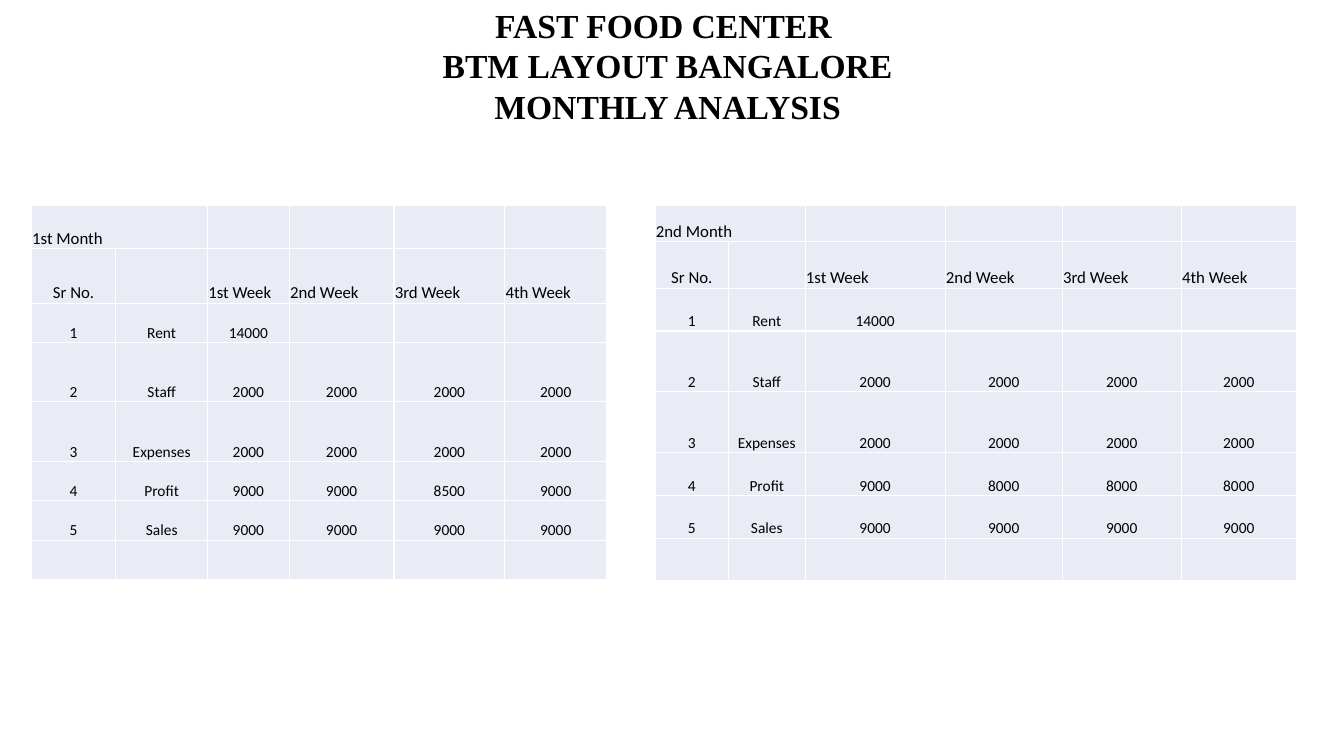
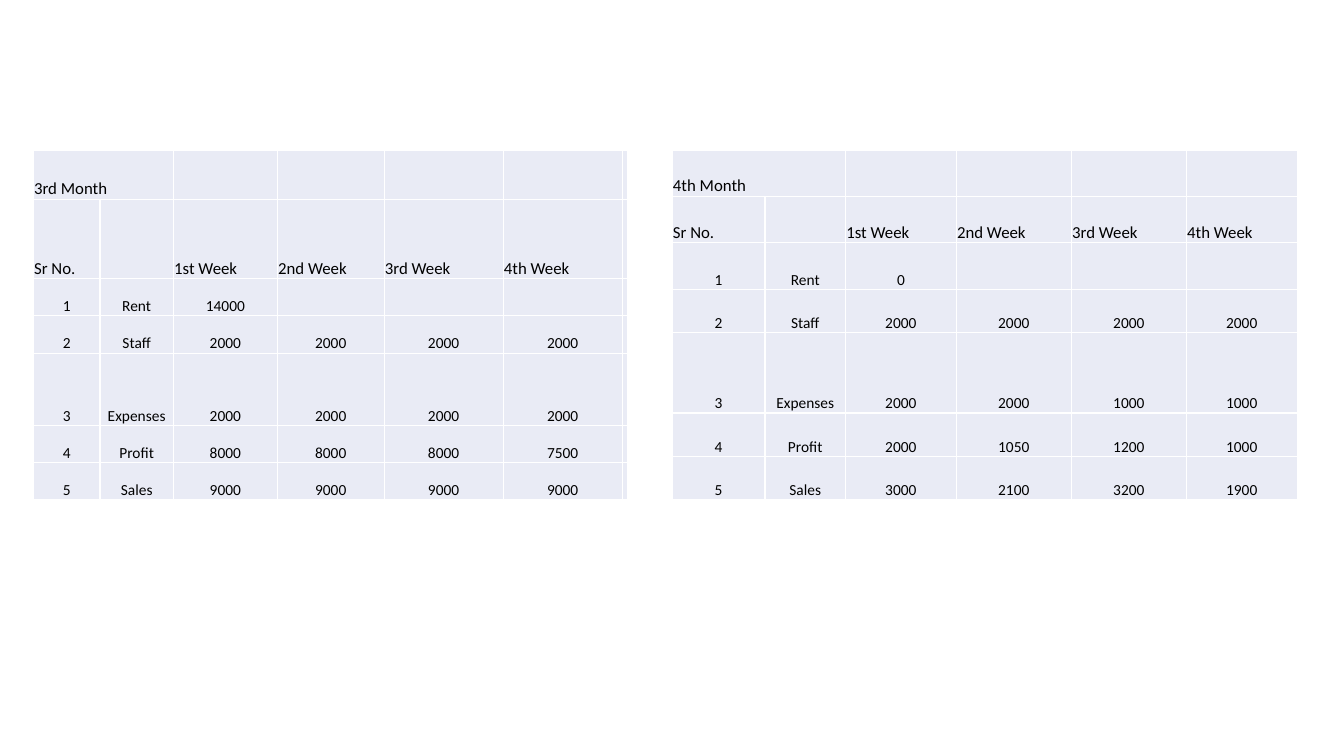
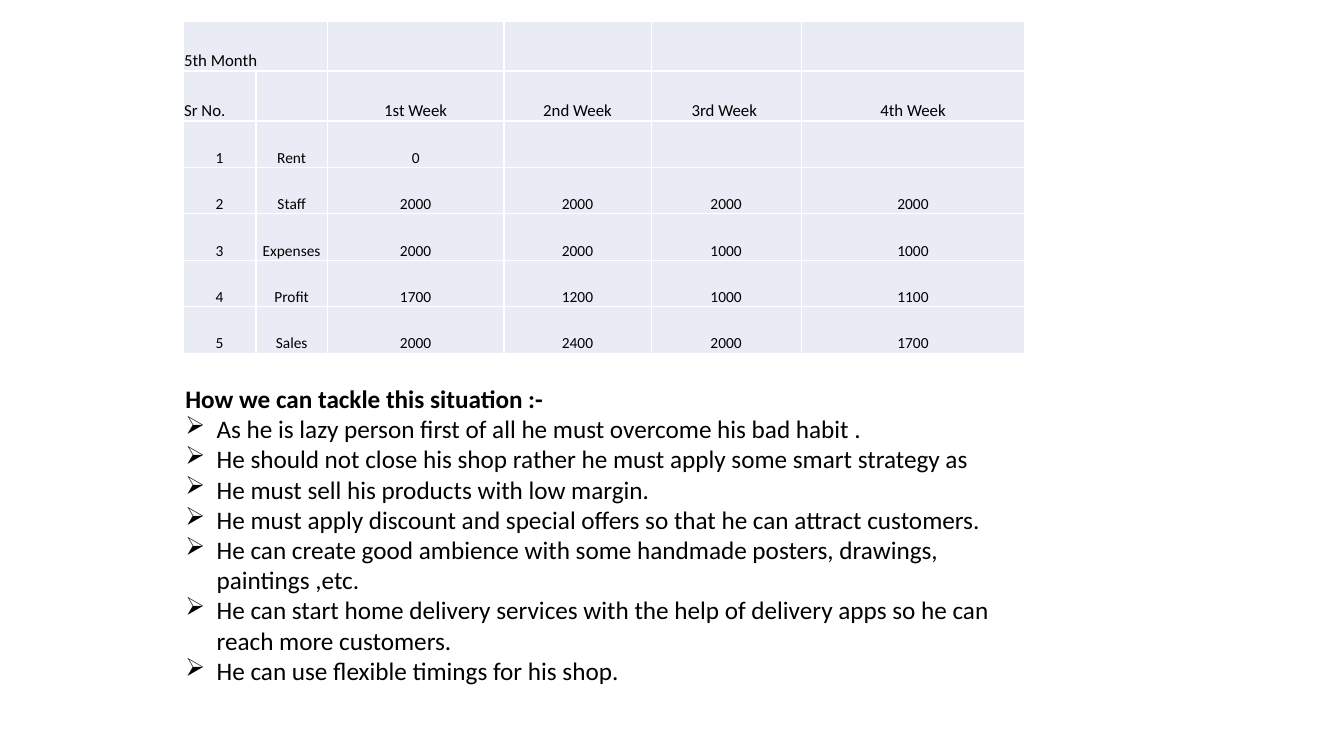
from lxml import etree
from pptx import Presentation
from pptx import util as u
from pptx.dml.color import RGBColor
from pptx.enum import text as t
from pptx.oxml import ns

BLACK = RGBColor(0x00, 0x00, 0x00)
WHITE = RGBColor(0xFF, 0xFF, 0xFF)
PALE = RGBColor(0xE9, 0xEB, 0xF5)
BODY = "Calibri"
SERIF = "Times New Roman"
CENTER = t.PP_ALIGN.CENTER
LEFT = t.PP_ALIGN.LEFT

WEEKS = ["1st Week", "2nd Week", "3rd Week", "4th Week"]
ITEMS = ["Rent", "Staff", "Expenses", "Profit", "Sales"]
STAFF = [2000] * 4
FLAT = [9000] * 4
TITLE = ["FAST FOOD CENTER ", "BTM LAYOUT BANGALORE", "MONTHLY ANALYSIS"]
HEAD = "How we can tackle this situation :-"
TIPS = [
    "As he is lazy person first of all he must overcome his bad habit .",
    "He should not close his shop rather he must apply some smart strategy as",
    "He must sell his products with low margin.",
    "He must apply discount and special offers so that he can attract customers.",
    "He can create good ambience with some handmade posters, drawings, paintings ,etc.",
    "He can start home delivery services with the help of delivery apps so he can reach more customers.",
    "He can use flexible timings for his shop.",
]


def style(para, size, face=BODY, bold=False, align=LEFT):
    para.alignment = align
    for run in para.runs:
        run.font.size = u.Pt(size)
        run.font.name = face
        run.font.bold = bold
        run.font.color.rgb = BLACK


def add_text(slide, box, lines):
    frame = slide.shapes.add_textbox(*map(u.Cm, box)).text_frame
    frame.word_wrap = True
    frame.text = "\n".join(lines)
    return frame.paragraphs


def add_title(slide, box):
    for para in add_text(slide, box, TITLE):
        style(para, 24, SERIF, True, CENTER)


def add_tips(slide, box):
    head, *tips = add_text(slide, box, [HEAD] + TIPS)
    style(head, 18, bold=True)
    for para in tips:
        style(para, 18)
        props = para._p.get_or_add_pPr()
        props.set("marL", str(u.Cm(0.79)))
        props.set("indent", str(-u.Cm(0.79)))
        etree.SubElement(props, ns.qn("a:buChar")).set("char", "➢")


def dress(cell):
    props = cell._tc.get_or_add_tcPr()
    for side in "LRTB":
        line = etree.SubElement(props, ns.qn("a:ln" + side), w=str(u.Pt(1)))
        fill = etree.SubElement(line, ns.qn("a:solidFill"))
        etree.SubElement(fill, ns.qn("a:srgbClr"), val=str(WHITE))
    cell.fill.solid()
    cell.fill.fore_color.rgb = PALE
    cell.vertical_anchor = t.MSO_ANCHOR.BOTTOM
    cell.margin_left = cell.margin_right = cell.margin_top = u.Cm(0.02)
    cell.margin_bottom = 0


def add_month(slide, left, top, cols, rows, name, data, mid=(), weeks=WEEKS):
    size = [u.Cm(n) for n in (left, top, sum(cols), sum(rows))]
    grid = slide.shapes.add_table(len(rows), len(cols), *size).table
    for col, wide in zip(grid.columns, cols):
        col.width = u.Cm(wide)
    for row, high in zip(grid.rows, rows):
        row.height = u.Cm(high)
    for cell in grid.iter_cells():
        dress(cell)
    grid.cell(0, 0).merge(grid.cell(0, 1))
    lines = [[name], ["Sr No.", ""] + weeks]
    lines += [[n, item] + vals for n, (item, vals) in enumerate(zip(ITEMS, data), 1)]
    for r, line in enumerate(lines):
        for c, word in enumerate(line):
            if word == "":
                continue
            para = grid.cell(r, c).text_frame.paragraphs[0]
            para.text = str(word)
            body = r > 1
            center = body or (r == 1 and c in mid)
            style(para, 11 if body else 12, align=CENTER if center else LEFT)


def first_slide(slide):
    add_title(slide, (0.58, 0, 32.49, 17.96))
    add_month(slide, 0.79, 5.18, [2.13, 2.31, 2.06, 2.64, 2.79, 2.57],
              [1.09, 1.37, 0.99, 1.48, 1.52] + [0.99] * 3, "1st Month",
              [[14000], STAFF, STAFF, [9000, 9000, 8500, 9000], FLAT], mid=(0,))
    add_month(slide, 16.51, 5.18, [1.85, 1.93, 3.53, 2.95, 3, 2.9],
              [0.91, 1.17, 1.08, 1.53, 1.53] + [1.08] * 3, "2nd Month",
              [[14000], STAFF, STAFF, [9000, 8000, 8000, 8000], FLAT], mid=(0,))


def second_slide(slide):
    add_month(slide, 0.84, 3.78, [1.68, 1.85, 2.62, 2.69, 3, 3, 0.13],
              [1.24, 2, 0.94, 0.94, 1.82, 0.94, 0.94], "3rd Month",
              [[14000], STAFF, STAFF, [8000, 8000, 8000, 7500], FLAT])
    add_month(slide, 16.94, 3.78, [2.34, 2.03, 2.79, 2.9, 2.9, 2.79],
              [1.17] * 3 + [1.09, 2.03, 1.09, 1.09], "4th Month",
              [[0], STAFF, [2000, 2000, 1000, 1000],
               [2000, 1050, 1200, 1000], [3000, 2100, 3200, 1900]])


def third_slide(slide):
    add_month(slide, 4.62, 0.53, [1.83, 1.8, 4.45, 3.71, 3.78, 5.64],
              [1.26] * 2 + [1.17] * 5, "5th Month",
              [[0], STAFF, [2000, 2000, 1000, 1000],
               [1700, 1200, 1000, 1100], [2000, 2400, 2000, 1700]],
              mid=range(2, 6), weeks=WEEKS[:2] + ["3rd Week ", WEEKS[3]])
    add_tips(slide, (4.42, 9.53, 21.79, 7.95))


def main():
    deck = Presentation()
    deck.slide_width = u.Cm(33.87)
    deck.slide_height = u.Cm(19.05)
    for build in (first_slide, second_slide, third_slide):
        build(deck.slides.add_slide(deck.slide_layouts[6]))
    deck.save("out.pptx")


if __name__ == "__main__":
    main()
